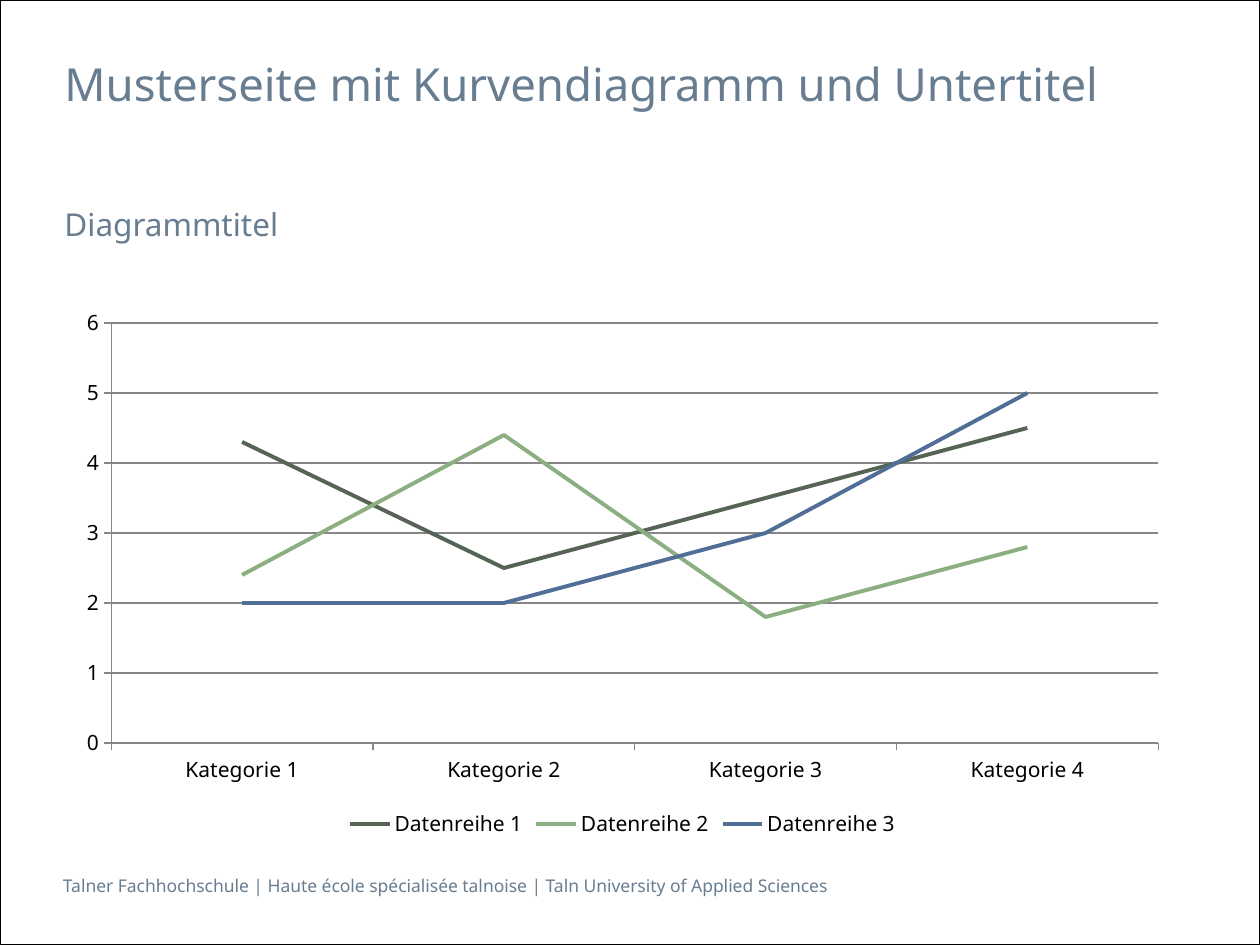
import pptx
import pptx.chart.data
import pptx.dml.color
import pptx.enum.chart
import pptx.enum.shapes
import pptx.util

Cm = pptx.util.Cm
Pt = pptx.util.Pt
RGBColor = pptx.dml.color.RGBColor

FONT = "Noto Sans"
SLATE = RGBColor(0x69, 0x7D, 0x91)
BLACK = RGBColor(0x00, 0x00, 0x00)
GRID_GREY = RGBColor(0x86, 0x86, 0x86)
DARK_GREEN = RGBColor(0x55, 0x64, 0x55)
LIGHT_GREEN = RGBColor(0x8C, 0xAF, 0x82)
BLUE = RGBColor(0x50, 0x6E, 0x96)

CATEGORIES = ["Kategorie 1", "Kategorie 2", "Kategorie 3", "Kategorie 4"]
SERIES = [
    ("Datenreihe 1", (4.3, 2.5, 3.5, 4.5), DARK_GREEN),
    ("Datenreihe 2", (2.4, 4.4, 1.8, 2.8), LIGHT_GREEN),
    ("Datenreihe 3", (2, 2, 3, 5), BLUE),
]


def add_frame(slide, left, top, width, height):
    """Outline the given box with a thin black line."""
    frame = slide.shapes.add_shape(
        pptx.enum.shapes.MSO_SHAPE.RECTANGLE, left, top, width, height
    )
    frame.shadow.inherit = False
    frame.fill.background()
    frame.line.color.rgb = BLACK
    frame.line.width = Pt(0.5)


def add_line_of_text(slide, left, top, width, height, wording, size):
    """Set one line of slate text in the given box."""
    frame = slide.shapes.add_textbox(left, top, width, height).text_frame
    frame.word_wrap = True
    frame.margin_left = frame.margin_right = 0
    frame.margin_top = frame.margin_bottom = Cm(0.13)
    run = frame.paragraphs[0].add_run()
    run.text = wording
    run.font.name = FONT
    run.font.size = Pt(size)
    run.font.color.rgb = SLATE


def add_curves(slide, left, top, width, height):
    """Fill the given box with the line chart and its legend."""
    data = pptx.chart.data.CategoryChartData()
    data.categories = CATEGORIES
    for name, values, _ in SERIES:
        data.add_series(name, values)
    chart = slide.shapes.add_chart(
        pptx.enum.chart.XL_CHART_TYPE.LINE, left, top, width, height, data
    ).chart
    chart.has_title = False
    chart.font.name = FONT
    chart.font.size = Pt(12)
    chart.font.color.rgb = BLACK
    chart.has_legend = True
    chart.legend.position = pptx.enum.chart.XL_LEGEND_POSITION.BOTTOM
    chart.legend.include_in_layout = False

    plot = chart.plots[0]
    plot.vary_by_categories = False
    for curve, (_, _, color) in zip(plot.series, SERIES):
        curve.smooth = False
        curve.marker.style = pptx.enum.chart.XL_MARKER_STYLE.NONE
        curve.format.line.color.rgb = color
        curve.format.line.width = Pt(2.25)

    values_axis = chart.value_axis
    values_axis.minimum_scale = 0
    values_axis.maximum_scale = 6
    values_axis.major_unit = 1
    values_axis.has_major_gridlines = True
    gridlines = values_axis.major_gridlines.format.line
    gridlines.color.rgb = GRID_GREY
    gridlines.width = Pt(0.75)
    for axis in (chart.category_axis, values_axis):
        axis.major_tick_mark = pptx.enum.chart.XL_TICK_MARK.OUTSIDE
        axis.minor_tick_mark = pptx.enum.chart.XL_TICK_MARK.NONE
        axis.format.line.color.rgb = GRID_GREY
        axis.format.line.width = Pt(0.75)


def main():
    """Build the slide and save it."""
    deck = pptx.Presentation()
    deck.slide_width, deck.slide_height = Cm(25.4), Cm(19.05)
    slide = deck.slides.add_slide(deck.slide_layouts[6])
    left, width = Cm(1.3), Cm(22.5)

    add_line_of_text(
        slide, Cm(1.27), Cm(17.5), Cm(18.57), Cm(0.69),
        "Talner Fachhochschule | Haute école spécialisée talnoise"
        " | Taln University of Applied Sciences", 10,
    )
    add_frame(slide, 0, 0, deck.slide_width, deck.slide_height)
    add_line_of_text(
        slide, left, Cm(1), width, Cm(1.5),
        "Musterseite mit Kurvendiagramm und Untertitel", 26,
    )
    add_line_of_text(slide, left, Cm(4), width, Cm(1.5), "Diagrammtitel", 18)
    add_curves(slide, left, Cm(6), width, Cm(11))
    deck.save("out.pptx")


if __name__ == "__main__":
    main()
